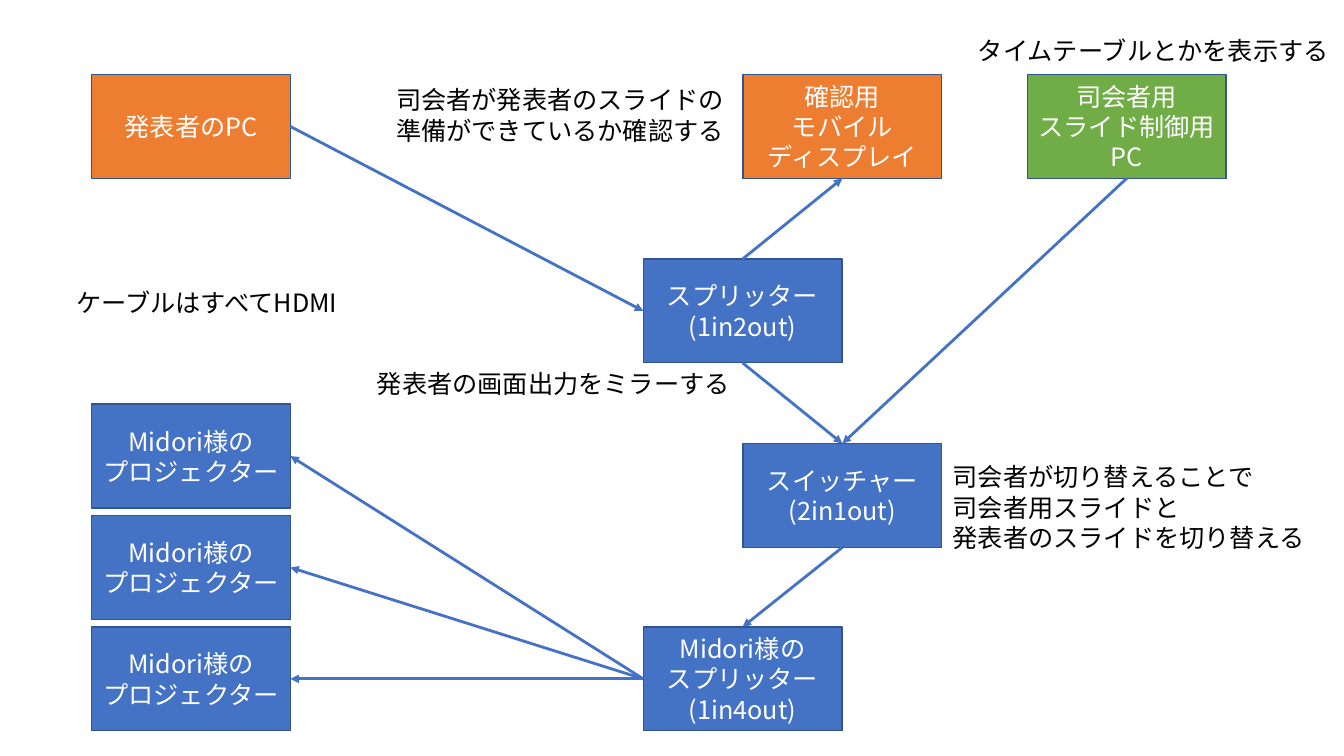
from lxml import etree
from pptx import Presentation
from pptx.dml.color import RGBColor
from pptx.enum.shapes import MSO_CONNECTOR, MSO_SHAPE
from pptx.enum.text import MSO_ANCHOR, MSO_AUTO_SIZE, PP_ALIGN
from pptx.oxml.ns import qn
from pptx.util import Inches, Pt

RECTANGLE = MSO_SHAPE.RECTANGLE
STRAIGHT = MSO_CONNECTOR.STRAIGHT
MIDDLE = MSO_ANCHOR.MIDDLE
FIT_TEXT = MSO_AUTO_SIZE.SHAPE_TO_FIT_TEXT
CENTER, LEFT = PP_ALIGN.CENTER, PP_ALIGN.LEFT
TOP_SIDE, LEFT_SIDE, BOTTOM_SIDE, RIGHT_SIDE = range(4)

FONT = "Noto Sans CJK JP"
BLUE, ORANGE, GREEN = "4472C4", "ED7D31", "70AD47"
OUTLINE, WHITE, BLACK = "325491", "FFFFFF", "000000"
DEVICE_WIDTH, DEVICE_HEIGHT = 1.97, 1.03
TOP_ROW, BOTTOM_ROW = 0.74, 6.22
LEFT_COLUMN, SPLITTER_COLUMN, SWITCHER_COLUMN = 0.91, 6.38, 7.37
PROJECTOR_STEP = 1.105


def set_color(color_format, hex_color):
    color_format.rgb = RGBColor.from_string(hex_color)


def add_run(paragraph, text, color):
    run = paragraph.add_run()
    run.text = text
    run.font.size = Pt(18)
    run.font.fill.solid()
    set_color(run.font.fill.fore_color, color)
    run.font.name = FONT
    east_asian = etree.Element(qn("a:ea"), typeface=FONT)
    run.font._element.find(qn("a:latin")).addnext(east_asian)


def write(frame, paragraphs, color, alignment):
    for index, text in enumerate(paragraphs):
        paragraph = frame.add_paragraph() if index else frame.paragraphs[0]
        paragraph.alignment = alignment
        for number, line in enumerate(text.split("\n")):
            if number:
                paragraph.add_line_break()
            add_run(paragraph, line, color)


def add_device(slide, left, top, color, *paragraphs):
    device = slide.shapes.add_shape(
        RECTANGLE, Inches(left), Inches(top),
        Inches(DEVICE_WIDTH), Inches(DEVICE_HEIGHT))
    device.shadow.inherit = False
    device.fill.solid()
    set_color(device.fill.fore_color, color)
    set_color(device.line.color, OUTLINE)
    device.line.width = Pt(1)
    frame = device.text_frame
    frame.word_wrap = True
    frame.vertical_anchor = MIDDLE
    write(frame, paragraphs, WHITE, CENTER)
    return device


def add_cable(slide, source, source_side, target, target_side):
    cable = slide.shapes.add_connector(STRAIGHT, 0, 0, 0, 0)
    cable.begin_connect(source, source_side)
    cable.end_connect(target, target_side)
    set_color(cable.line.color, BLUE)
    cable.line.width = Pt(2)
    etree.SubElement(cable.line._get_or_add_ln(), qn("a:tailEnd"), type="triangle")
    etree.SubElement(cable._element.spPr, qn("a:effectLst"))


def add_note(slide, left, top, width, height, text):
    note = slide.shapes.add_textbox(
        Inches(left), Inches(top), Inches(width), Inches(height))
    note.text_frame.word_wrap = False
    note.text_frame.auto_size = FIT_TEXT
    write(note.text_frame, [text], BLACK, LEFT)


def main():
    presentation = Presentation()
    presentation.slide_width = Inches(13.33)
    presentation.slide_height = Inches(7.5)
    slide = presentation.slides.add_slide(presentation.slide_layouts[6])

    splitter = add_device(slide, SPLITTER_COLUMN, 2.57, BLUE, "スプリッター(1in2out)")
    hall_splitter = add_device(slide, SPLITTER_COLUMN, BOTTOM_ROW, BLUE,
                               "Midori様の", "スプリッター(1in4out)")
    switcher = add_device(slide, SWITCHER_COLUMN, 4.4, BLUE, "スイッチャー", "(2in1out)")
    monitor = add_device(slide, SWITCHER_COLUMN, TOP_ROW, ORANGE,
                         "確認用\nモバイル\nディスプレイ")
    host_pc = add_device(slide, 10.19, TOP_ROW, GREEN, "司会者用\nスライド制御用", "PC")
    speaker_pc = add_device(slide, LEFT_COLUMN, TOP_ROW, ORANGE, "発表者のPC")
    projectors = [
        add_device(slide, LEFT_COLUMN, BOTTOM_ROW - step * PROJECTOR_STEP, BLUE,
                   "Midori様の\nプロジェクター")
        for step in (2, 1, 0)]

    add_cable(slide, speaker_pc, RIGHT_SIDE, splitter, LEFT_SIDE)
    add_cable(slide, splitter, BOTTOM_SIDE, switcher, TOP_SIDE)
    add_cable(slide, splitter, TOP_SIDE, monitor, BOTTOM_SIDE)
    add_cable(slide, host_pc, BOTTOM_SIDE, switcher, TOP_SIDE)
    add_cable(slide, switcher, BOTTOM_SIDE, hall_splitter, TOP_SIDE)
    for projector in projectors:
        add_cable(slide, hall_splitter, LEFT_SIDE, projector, RIGHT_SIDE)

    add_note(slide, 9.35, 4.53, 3.74, 1.01,
             "司会者が切り替えることで\n司会者用スライドと\n発表者のスライドを切り替える")
    add_note(slide, 3.83, 0.79, 3.48, 0.71,
             "司会者が発表者のスライドの\n準備ができているか確認する")
    add_note(slide, 9.6, 0.3, 3.74, 0.4, "タイムテーブルとかを表示する")
    add_note(slide, 3.64, 3.61, 3.74, 0.4, "発表者の画面出力をミラーする")
    add_note(slide, 0.66, 2.8, 2.9, 0.4, "ケーブルはすべてHDMI")

    presentation.save("out.pptx")


if __name__ == "__main__":
    main()
